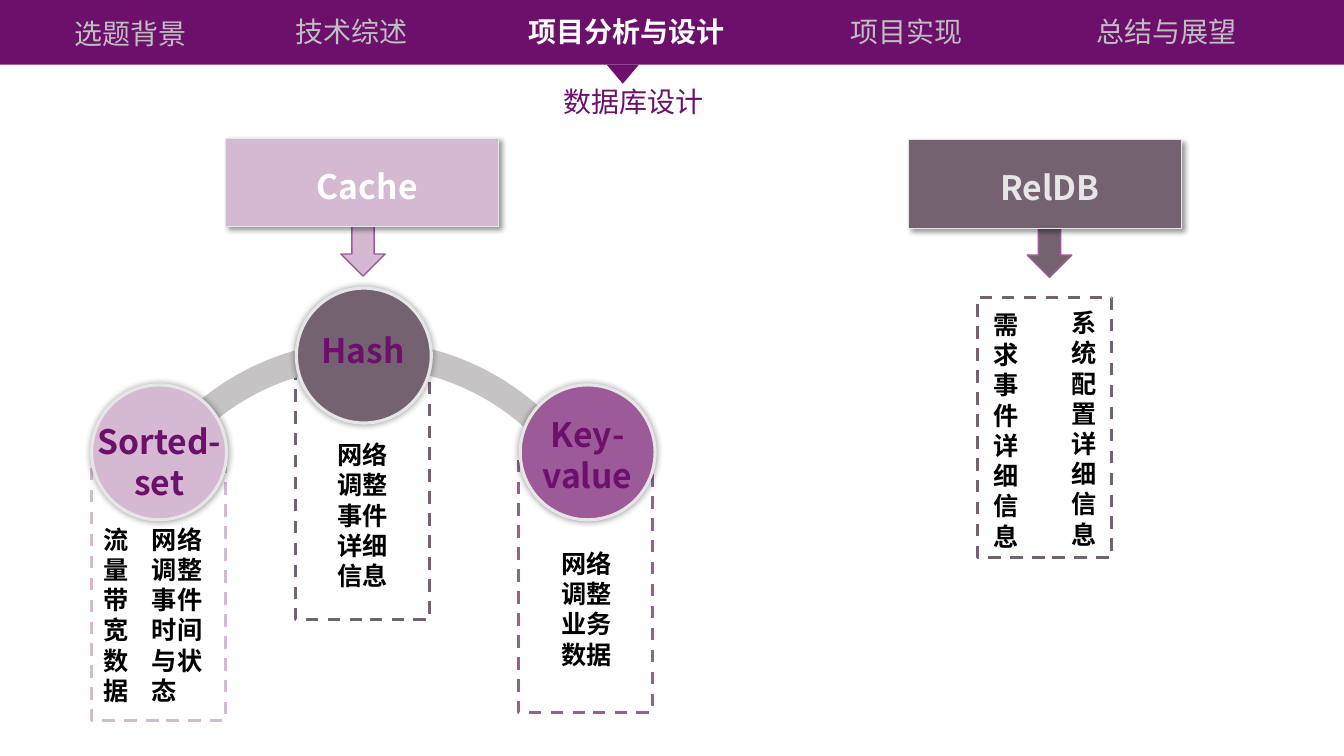
"""Builds the database design slide of a project presentation."""
import lxml.etree
import pptx
import pptx.dml.color
import pptx.enum.dml
import pptx.enum.shapes
import pptx.enum.text
import pptx.oxml.ns
import pptx.util

Cm = pptx.util.Cm
Pt = pptx.util.Pt
RGBColor = pptx.dml.color.RGBColor
SHAPE = pptx.enum.shapes.MSO_SHAPE
LEFT = pptx.enum.text.PP_ALIGN.LEFT
CENTER = pptx.enum.text.PP_ALIGN.CENTER
qn = pptx.oxml.ns.qn

FONT = "Noto Sans CJK SC"
PURPLE = RGBColor(0x6C, 0x10, 0x6B)
VIOLET = RGBColor(0x9C, 0x5A, 0x99)
LILAC = RGBColor(0xD5, 0xB9, 0xD2)
MAUVE = RGBColor(0x75, 0x62, 0x71)
PALE = RGBColor(0xE7, 0xE6, 0xE6)
SILVER = RGBColor(0xC5, 0xC3, 0xC3)
GRAY = RGBColor(0xBF, 0xBF, 0xBF)
WHITE = RGBColor(0xFF, 0xFF, 0xFF)
BLACK = RGBColor(0, 0, 0)
SLIDE_WIDTH = 33.87


def style_shape(shape, fill=None, line=None, weight=1):
    """Give a shape its fill and outline, without a shadow."""
    shape.shadow.inherit = False
    if fill is None:
        shape.fill.background()
    else:
        shape.fill.solid()
        shape.fill.fore_color.rgb = fill
    if line is None:
        shape.line.fill.background()
    else:
        shape.line.color.rgb = line
        shape.line.width = Pt(weight)


def add_block(slide, kind, left, top, width, height, **style):
    """Add a styled preset shape, measured in centimetres."""
    shape = slide.shapes.add_shape(kind, Cm(left), Cm(top), Cm(width), Cm(height))
    style_shape(shape, **style)
    return shape


def add_shadow(shape, blur, distance=0, angle=0):
    """Add a soft black outer shadow."""
    effects = shape._element.spPr.find(qn("a:effectLst"))
    shadow = lxml.etree.SubElement(
        effects, qn("a:outerShdw"), blurRad=str(Pt(blur)), dist=str(Pt(distance)),
        dir=str(angle * 60000), algn="ctr", rotWithShape="0")
    color = lxml.etree.SubElement(shadow, qn("a:srgbClr"), val="000000")
    lxml.etree.SubElement(color, qn("a:alpha"), val="40000")


def add_text(slide, text, left, top, width, height, size=18, color=BLACK,
             bold=True, align=LEFT, wrap=True):
    """Add a one-paragraph text box."""
    box = slide.shapes.add_textbox(Cm(left), Cm(top), Cm(width), Cm(height))
    frame = box.text_frame
    frame.text = text
    frame.word_wrap = wrap
    frame.auto_size = pptx.enum.text.MSO_AUTO_SIZE.SHAPE_TO_FIT_TEXT
    paragraph = frame.paragraphs[0]
    paragraph.alignment = align
    font = paragraph.runs[0].font
    font.name, font.size, font.bold = FONT, Pt(size), bold
    font.color.rgb = color
    lxml.etree.SubElement(font._element, qn("a:ea"), typeface=FONT)


def add_dashed_frame(slide, left, top, color):
    """Add the dashed frame that surrounds notes."""
    frame = add_block(slide, SHAPE.RECTANGLE, left, top, 3.38, 6.55, line=color, weight=2.25)
    frame.line.dash_style = pptx.enum.dml.MSO_LINE.DASH


def curve_points(start, first, second, end, steps=24):
    """Return points along a cubic curve, after its start."""
    points = []
    for step in range(1, steps + 1):
        t = step / steps
        weights = ((1 - t) ** 3, 3 * t * (1 - t) ** 2, 3 * t * t * (1 - t), t ** 3)
        points.append(tuple(
            sum(weight * value for weight, value in zip(weights, values))
            for values in zip(start, first, second, end)))
    return points


def add_navigation(slide, left, top, width):
    """Add the chapter bar with its current chapter marked."""
    add_block(slide, SHAPE.RECTANGLE, left, top, width, 1.63, fill=PURPLE)
    pointer = add_block(slide, SHAPE.ISOSCELES_TRIANGLE, left + 15.29, top + 1.63,
                        0.81, 0.48, fill=PURPLE)
    pointer.rotation = 180
    chapters = (
        ("选题背景", 1.63, 0.28, False),
        ("技术综述", 7.19, 0.23, False),
        ("项目分析与设计", 13.06, 0.23, True),
        ("项目实现", 21.18, 0.25, False),
        ("总结与展望", 27.38, 0.25, False),
    )
    for name, x, y, current in chapters:
        add_text(slide, name, left + x, top + y, 6.48, 1.11, size=20,
                 color=WHITE if current else GRAY, bold=current)
    add_text(slide, "数据库设计", left + 13.94, top + 2.01, 4.06, 1.11, size=20,
             color=PURPLE, bold=False, wrap=False)


def add_database_header(slide, left, top, name, fill, color, arrow_left):
    """Add a database name block with an arrow below it."""
    add_block(slide, SHAPE.DOWN_ARROW, left + arrow_left, top + 1.83, 1.12, 1.65,
              fill=fill, line=VIOLET)
    block = add_block(slide, SHAPE.RECTANGLE, left, top, 6.88, 2.24,
                      fill=fill, line=PALE, weight=0.75)
    add_shadow(block, 4, 3, 45)
    add_text(slide, name, left + 0.29, top + 0.57, 6.55, 1.27, size=24,
             color=color, align=CENTER)


def add_arc(slide, left, top):
    """Add the band that joins the three data types."""
    outer = [(1.22, 4.6), (2.36, 2.65), (4.47, 1.33), (6.91, 1.33),
             (9.3, 1.33), (11.38, 2.6), (12.55, 4.5)]
    inner = [(11.99, 4.81), (10.95, 3.1), (9.04, 1.99), (6.91, 1.99),
             (4.73, 1.99), (2.8, 3.15), (1.78, 4.93)]
    points = []
    for edge in (outer, inner):
        points += [edge[0]] + curve_points(*edge[:4]) + curve_points(*edge[3:])
    corners = [(Cm(left + x), Cm(top + y)) for x, y in points]
    builder = slide.shapes.build_freeform(*corners[0])
    builder.add_line_segments(corners[1:], close=True)
    style_shape(builder.convert_to_shape(), fill=SILVER)


def add_data_types(slide, left, top):
    """Add the three data types with their framed notes."""
    frames = ((10.75, 4.14, VIOLET), (5.13, 1.81, MAUVE), (0, 4.35, LILAC))
    circles = ((0, 2.44, LILAC), (5.16, 0, MAUVE), (10.8, 2.44, VIOLET))
    labels = (("Sorted-set", -0.53, 3.23, 2.31), ("Hash", 4.6, 0.94, 1.27),
              ("Key-value", 10.26, 3.05, 2.31))
    notes = (
        ("流量带宽数据", 0.05, 5.82, 1.17, 4.88),
        ("网络调整事件时间与状态", 1.27, 5.82, 2.18, 4.88),
        ("网络调整事件详细信息", 5.95, 3.69, 2.03, 4.14),
        ("网络调整业务数据", 11.58, 6.43, 2.03, 3.33),
    )
    for x, y, color in frames:
        add_dashed_frame(slide, left + x, top + y, color)
    add_arc(slide, left, top)
    for x, y, color in circles:
        circle = add_block(slide, SHAPE.OVAL, left + x, top + y, 3.4, 3.4,
                           fill=color, line=PALE, weight=2.25)
        add_shadow(circle, 5)
    for name, x, y, height in labels:
        add_text(slide, name, left + x, top + y, 4.47, height, size=24,
                 color=PURPLE, align=CENTER)
    for note, x, y, width, height in notes:
        add_text(slide, note, left + x, top + y, width, height)


def add_table_notes(slide, left, top):
    """Add the framed notes of the relational database."""
    add_dashed_frame(slide, left, top, MAUVE)
    add_text(slide, "需求事件详细信息", left + 0.15, top + 0.18, 1.52, 6.4)
    add_text(slide, "系统配置详细信息", left + 2.11, top + 0.13, 1.57, 6.4)


def main():
    """Build and save the presentation."""
    presentation = pptx.Presentation()
    presentation.slide_width = Cm(SLIDE_WIDTH)
    presentation.slide_height = Cm(19.05)
    slide = presentation.slides.add_slide(presentation.slide_layouts[6])
    add_navigation(slide, 0, 0, SLIDE_WIDTH)
    add_database_header(slide, 5.69, 3.48, "Cache", LILAC, WHITE, 2.9)
    add_data_types(slide, 2.31, 7.26)
    add_database_header(slide, 22.89, 3.51, "RelDB", MAUVE, PALE, 3)
    add_table_notes(slide, 24.64, 7.49)
    presentation.save("out.pptx")


if __name__ == "__main__":
    main()
